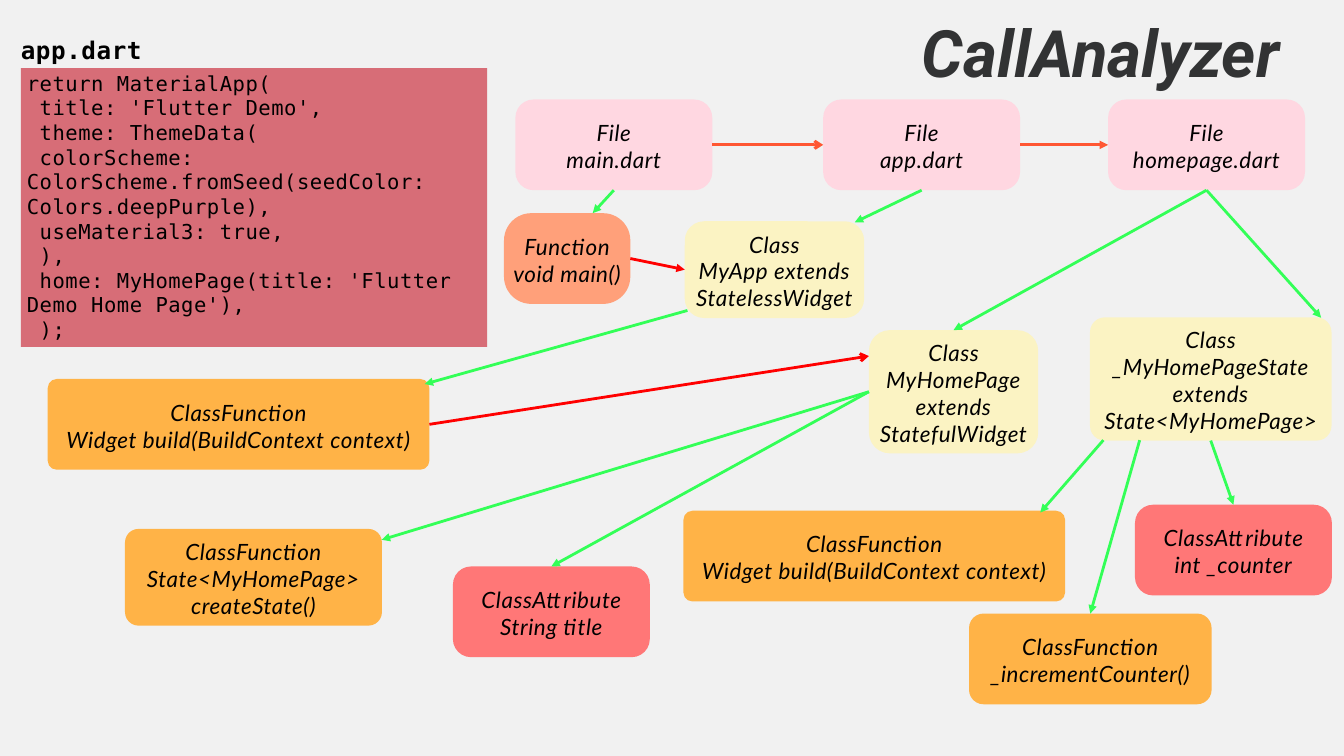
import pptx
import pptx.util
import pptx.dml.color
import pptx.enum.shapes
import pptx.enum.text
import pptx.oxml
import pptx.oxml.ns

WIDE, HIGH = 20, 11.25
PINK, PEACH, CREAM = "FFD7E1", "FFA07A", "FBF3C3"
AMBER, CORAL, ROSE = "FFB347", "FF7777", "D76D77"
GREEN, RED, FLAME = "33FF57", "FF0000", "FF5733"
TOP, LEFT, LOW, RIGHT = range(4)
FILE_W, FILE_Y, BUILD_W = 14.65, 13.16, 28.4
TWO, THREE, FOUR = 12, 12.8, 16.3  # box heights by number of text lines

# key: fill, place in percent of the slide (x, y, w, h), corner, lines
NODES = {
    "main": (PINK, (38.35, FILE_Y, FILE_W, TWO), 0.2, ["File", "main.dart"]),
    "app": (PINK, (61.25, FILE_Y, FILE_W, TWO), 0.2, ["File", "app.dart"]),
    "page": (PINK, (82.45, FILE_Y, FILE_W, TWO), 0.2,
             ["File", "homepage.dart"]),
    "func": (PEACH, (37.5, 28.2, 9.4, TWO), 0.3, ["Function", "void main()"]),
    "myapp": (CREAM, (50.95, 29.27, 13.35, THREE), 0.2,
              ["Class", "MyApp extends StatelessWidget"]),
    "build": (AMBER, (3.55, 50.13, BUILD_W, TWO), 0.1,
              ["ClassFunction", "Widget build(BuildContext context)"]),
    "home": (CREAM, (64.65, 43.67, 12.6, FOUR), 0.17,
             ["Class", "MyHomePage extends StatefulWidget"]),
    "title": (CORAL, (33.7, 74.93, FILE_W, TWO), 0.2,
              ["ClassAttribute", "String title"]),
    "state": (CREAM, (81.1, 41.98, 17.97, FOUR), 0.12,
              ["Class", "_MyHomePageState extends State<MyHomePage>"]),
    "incr": (AMBER, (72.1, 81.16, 18.05, TWO), 0.16,
             ["ClassFunction", "_incrementCounter()"]),
    "count": (CORAL, (84.45, 66.76, FILE_W, TWO), 0.2,
              ["ClassAttribute", "int _counter"]),
    "draw": (AMBER, (50.85, 67.56, BUILD_W, TWO), 0.1,
             ["ClassFunction", "Widget build(BuildContext context)"]),
    "make": (AMBER, (9.3, 69.96, 19.12, THREE), 0.14,
             ["ClassFunction", "State<MyHomePage> createState()"]),
}

# An end is (node, side) when joined, or (x, y) in percent when loose
LINKS = [
    (("main", RIGHT), ("app", LEFT), FLAME, "arrow"),
    (("app", RIGHT), ("page", LEFT), FLAME, "triangle"),
    (("main", LOW), (44.1, 28.2), GREEN, "triangle"),
    (("app", LOW), (63.6, 29.4), GREEN, "triangle"),
    ((51.15, 41.07), (31.6, 50.8), GREEN, "triangle"),
    (("page", LOW), ("home", TOP), GREEN, "triangle"),
    (("home", LEFT), ("title", TOP), GREEN, "triangle"),
    (("page", LOW), (98.3, 42.04), GREEN, "triangle"),
    ((84.8, 58.22), ("incr", TOP), GREEN, "triangle"),
    (("state", LOW), ("count", TOP), GREEN, "triangle"),
    ((82.1, 58.22), (77.4, 67.8), GREEN, "triangle"),
    (("home", LEFT), (28.4, 71.4), GREEN, "triangle"),
    (("func", RIGHT), ("myapp", LEFT), RED, "triangle"),
    (("build", RIGHT), ("home", 1), RED, "arrow"),
]
LINKS[-1] = (("build", RIGHT), (64.65, 47.1), RED, "arrow")

CODE = """return MaterialApp(
 title: 'Flutter Demo',
 theme: ThemeData(
 colorScheme: ColorScheme.fromSeed(seedColor: Colors.deepPurple),
 useMaterial3: true,
 ),
 home: MyHomePage(title: 'Flutter Demo Home Page'),
 );""".split("\n")


def tint(code):
    return pptx.dml.color.RGBColor.from_string(code)


def spot(x, y):
    """Percent of the slide to lengths."""
    return (pptx.util.Inches(x * WIDE / 100),
            pptx.util.Inches(y * HIGH / 100))


def area(x, y, w, h):
    return spot(x, y) + spot(w, h)


def write(shape, lines, font="Lato", size=24, lead=28.8, color="000000",
          bold=False, slant=False, track=60, align="LEFT", anchor="TOP",
          pads=(0, 0, 0, 0)):
    frame = shape.text_frame
    frame.word_wrap = True
    frame.auto_size = pptx.enum.text.MSO_AUTO_SIZE.NONE
    frame.vertical_anchor = getattr(pptx.enum.text.MSO_ANCHOR, anchor)
    (frame.margin_left, frame.margin_top, frame.margin_right,
     frame.margin_bottom) = map(pptx.util.Inches, pads)
    for n, line in enumerate(lines):
        para = frame.add_paragraph() if n else frame.paragraphs[0]
        para.alignment = getattr(pptx.enum.text.PP_ALIGN, align)
        para.line_spacing = pptx.util.Pt(lead)
        para.space_before = pptx.util.Pt(0)
        run = para.add_run()
        run.text = line
        run.font.name, run.font.size = font, pptx.util.Pt(size)
        run.font.bold, run.font.italic = bold, slant
        run.font.color.rgb = tint(color)
        run._r.get_or_add_rPr().set("spc", str(track))


def block(slide, place, fill, corner=0):
    kinds = pptx.enum.shapes.MSO_SHAPE
    kind = kinds.ROUNDED_RECTANGLE if corner else kinds.RECTANGLE
    shape = slide.shapes.add_shape(kind, *area(*place))
    if corner:
        shape.adjustments[0] = corner
    shape.shadow.inherit = False
    shape.fill.solid()
    shape.fill.fore_color.rgb = tint(fill)
    shape.line.fill.background()
    return shape


def link(slide, nodes, start, end, color, head):
    loose = [(0, 0) if p[0] in nodes else spot(*p) for p in (start, end)]
    line = slide.shapes.add_connector(
        pptx.enum.shapes.MSO_CONNECTOR.STRAIGHT, *loose[0], *loose[1])
    if start[0] in nodes:
        line.begin_connect(nodes[start[0]], start[1])
    if end[0] in nodes:
        line.end_connect(nodes[end[0]], end[1])
    line.line.color.rgb = tint(color)
    line.line.width = pptx.util.Pt(3)
    # Arrowhead, and no shadow
    props = line._element.spPr
    tail = pptx.oxml.parse_xml(
        f'<a:tailEnd {pptx.oxml.ns.nsdecls("a")} type="{head}"/>')
    props.find(pptx.oxml.ns.qn("a:ln")).append(tail)
    props.append(pptx.oxml.parse_xml(
        f'<a:effectLst {pptx.oxml.ns.nsdecls("a")}/>'))


def main():
    deck = pptx.Presentation()
    deck.slide_width, deck.slide_height = spot(100, 100)
    slide = deck.slides.add_slide(deck.slide_layouts[5])
    slide.background.fill.solid()
    slide.background.fill.fore_color.rgb = tint("F1F1F1")

    # Title
    title = slide.shapes.title
    title.left, title.top, title.width, title.height = area(
        68.6, 3.4, 29.45, 9.1)
    write(title, ["CallAnalyzer"], font="Roboto", size=70, lead=70,
          color="323334", bold=True, slant=True, track=0)

    # Code panel with its file name
    label = slide.shapes.add_textbox(*area(1.55, 4.7, 15.3, 4.3))
    write(label, ["app.dart"], font="DejaVu Sans Mono", size=26, lead=31.2,
          bold=True)
    panel = block(slide, (1.55, 9, 34.7, 36.9), ROSE)
    write(panel, CODE, font="DejaVu Sans Mono", size=22, lead=26.4,
          pads=(0.09, 0.04, 0, 0))

    # Call graph
    nodes = {}
    for key, (fill, place, corner, lines) in NODES.items():
        nodes[key] = block(slide, place, fill, corner)
        write(nodes[key], lines, slant=True, align="CENTER",
              anchor="MIDDLE", pads=(0, 0.04, 0, 0))
    for start, end, color, head in LINKS:
        link(slide, nodes, start, end, color, head)

    deck.save("out.pptx")


if __name__ == "__main__":
    main()
